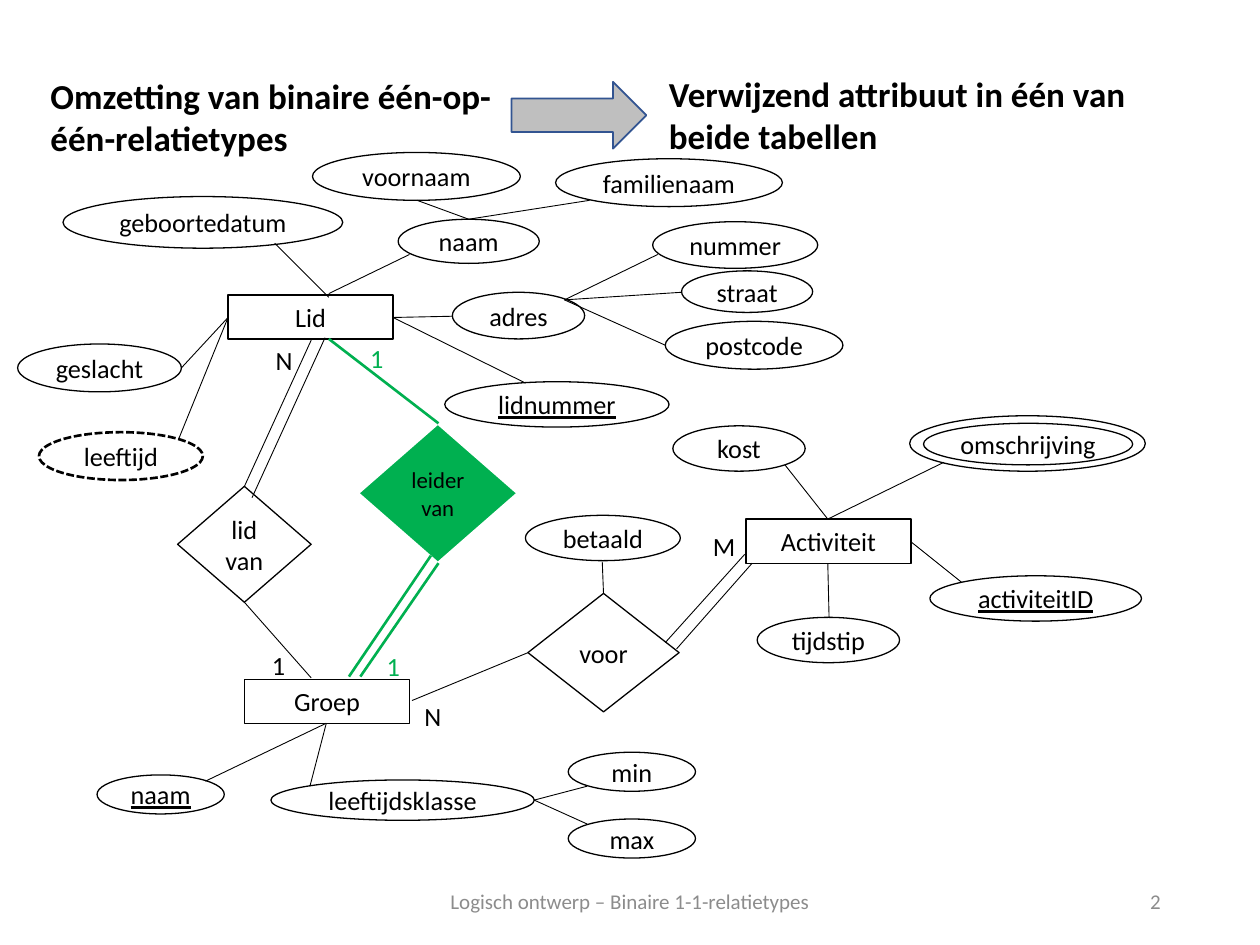
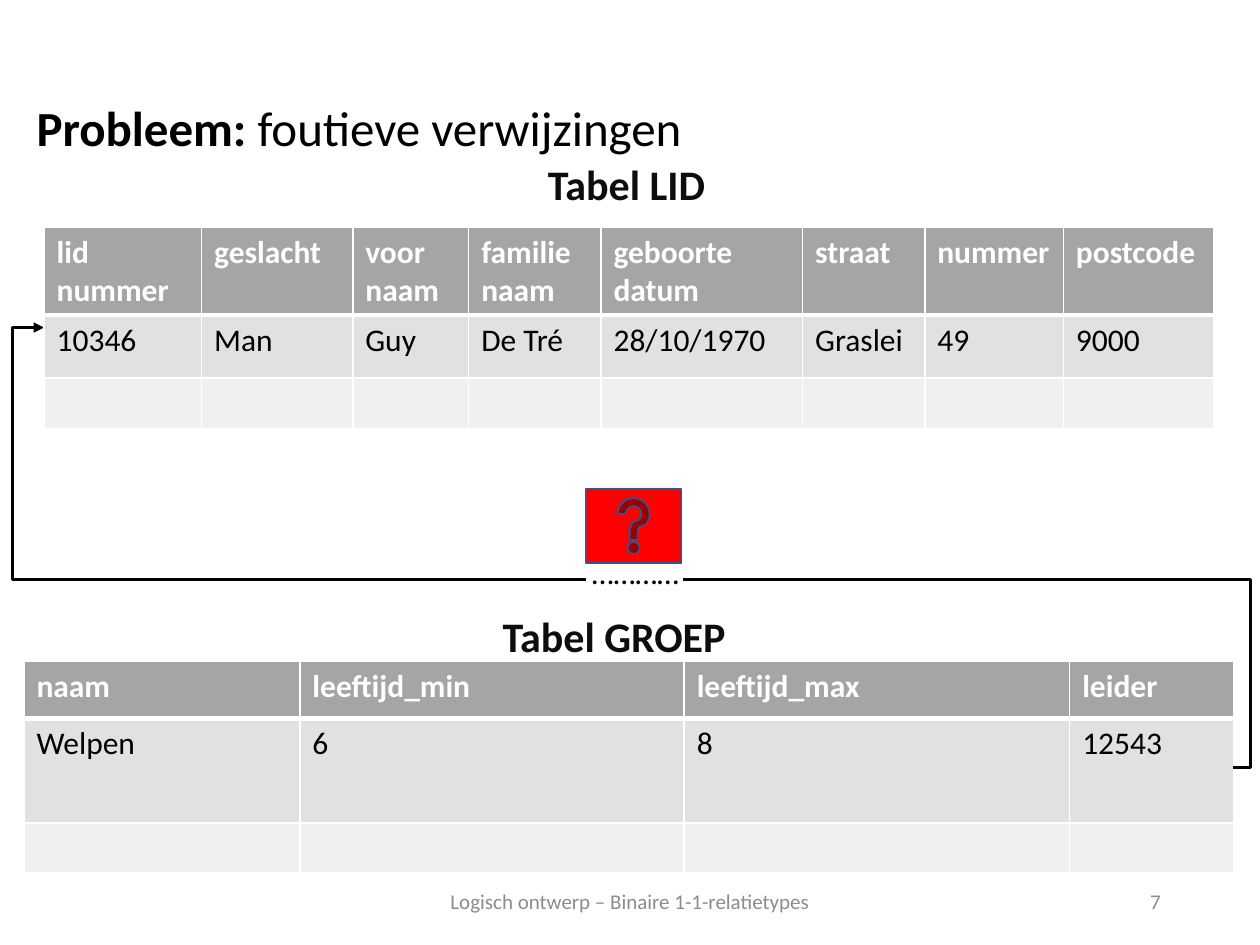
from dataclasses import dataclass
from typing import Any

from lxml.etree import SubElement
from pptx import Presentation
from pptx.dml.color import RGBColor
from pptx.enum.dml import MSO_LINE
from pptx.enum.shapes import MSO_CONNECTOR, MSO_SHAPE
from pptx.enum.text import MSO_ANCHOR, MSO_AUTO_SIZE, PP_ALIGN
from pptx.oxml.ns import qn
from pptx.util import Inches, Pt

FONT = "Calibri"
BLACK, WHITE, GREEN, RED = "000000", "FFFFFF", "00B050", "FF0000"
GREY, ARROW_GREY, OUTLINE_BLUE, HEADING = "8C8C8C", "BFBFBF", "325491", "0D0D0D"
HEADER_FILL, DATA_FILL, EMPTY_FILL = "A5A5A5", "E1E1E1", "F0F0F0"
FOOTER = "Logisch ontwerp – Binaire 1-1-relatietypes"


def rgb(value):
    return RGBColor.from_string(value)


def style(frame, size, color=BLACK, bold=False, align=PP_ALIGN.LEFT, underline=False):
    for paragraph in frame.paragraphs:
        paragraph.alignment = align
        font = paragraph.font
        font.name, font.size, font.bold = FONT, Pt(size), bold
        font.underline = underline
        font.color.rgb = rgb(color)


def set_border(cell, side, width):
    border = SubElement(cell._tc.get_or_add_tcPr(), qn(f"a:ln{side}"), w=str(Pt(width)))
    fill = SubElement(border, qn("a:solidFill"))
    SubElement(fill, qn("a:srgbClr"), val=WHITE)


@dataclass
class Region:
    slide: Any
    left: float = 0
    top: float = 0

    def place(self, x, y):
        return Inches(self.left + x), Inches(self.top + y)

    def box(self, x, y, width, height):
        return *self.place(x, y), Inches(width), Inches(height)

    def label(self, text, box, size=15, color=BLACK, bold=False,
              align=PP_ALIGN.LEFT, anchor=MSO_ANCHOR.TOP):
        frame = self.slide.shapes.add_textbox(*self.box(*box)).text_frame
        frame.word_wrap = True
        frame.vertical_anchor = anchor
        frame.text = text
        style(frame, size, color, bold, align)

    def shape(self, kind, box, fill=WHITE, outline=BLACK, weight=0.75):
        shape = self.slide.shapes.add_shape(kind, *self.box(*box))
        shape.shadow.inherit = False
        shape.fill.solid()
        shape.fill.fore_color.rgb = rgb(fill)
        shape.line.color.rgb = rgb(outline)
        shape.line.width = Pt(weight)
        return shape

    def node(self, kind, text, box, size=15, underline=False, **look):
        shape = self.shape(kind, box, **look)
        frame = shape.text_frame
        frame.margin_left = frame.margin_right = Inches(0.05)
        frame.word_wrap = " " in text
        frame.vertical_anchor = MSO_ANCHOR.MIDDLE
        frame.text = text
        style(frame, size, align=PP_ALIGN.CENTER, underline=underline)
        return shape

    def entity(self, text, x, y):
        self.node(MSO_SHAPE.RECTANGLE, text, (x, y, 1.31, 0.35))

    def attributes(self, boxes, key=None):
        for text, box in boxes.items():
            self.node(MSO_SHAPE.OVAL, text, box, underline=text == key)

    def line(self, start, end, color=BLACK, weight=0.5, kind=MSO_CONNECTOR.STRAIGHT):
        line = self.slide.shapes.add_connector(kind, *self.place(*start), *self.place(*end))
        line.line.color.rgb = rgb(color)
        line.line.width = Pt(weight)
        SubElement(line._element.spPr, qn("a:effectLst"))
        return line

    def lines(self, ends, **look):
        for x1, y1, x2, y2 in ends:
            self.line((x1, y1), (x2, y2), **look)


def lid_entity(region):
    region.entity("Lid", 1.81, 1.34)
    region.attributes({
        "geboortedatum": (0.5, 0.56, 2.22, 0.41),
        "voornaam": (2.48, 0.21, 1.65, 0.38),
        "familienaam": (4.41, 0.26, 1.8, 0.38),
        "naam": (3.16, 0.74, 1.12, 0.35),
        "nummer": (5.18, 0.76, 1.31, 0.37),
        "straat": (5.41, 1.15, 1.04, 0.33),
        "postcode": (5.28, 1.55, 1.41, 0.38),
        "adres": (3.59, 1.32, 1.05, 0.37),
        "geslacht": (0.14, 1.73, 1.3, 0.38),
        "lidnummer": (3.53, 2.03, 1.78, 0.36),
    }, key="lidnummer")
    derived = region.node(MSO_SHAPE.OVAL, "leeftijd", (0.31, 2.43, 1.3, 0.38), weight=1.5)
    derived.line.dash_style = MSO_LINE.SQUARE_DOT
    region.lines([
        (2.18, 0.93, 2.61, 1.36), (3.25, 1.02, 2.61, 1.33),
        (3.31, 0.59, 3.72, 0.74), (4.68, 0.59, 3.72, 0.74),
        (4.48, 1.38, 5.22, 1.02), (4.48, 1.38, 5.41, 1.32), (4.48, 1.38, 5.28, 1.74),
        (3.12, 1.52, 3.59, 1.51), (3.12, 1.52, 4.17, 2.04),
        (1.81, 1.52, 1.44, 1.92), (1.81, 1.52, 1.42, 2.48),
    ])


def groep_entity(region):
    region.entity("Groep", 1.94, 0.39)
    region.attributes({
        "naam": (0.77, 1.15, 1.01, 0.31),
        "leeftijdsklasse": (2.15, 1.19, 2.09, 0.32),
        "min": (4.51, 0.97, 1.01, 0.31),
        "max": (4.51, 1.5, 1.01, 0.31),
    }, key="naam")
    region.lines([
        (2.59, 0.74, 1.63, 1.2), (2.59, 0.74, 2.46, 1.24),
        (4.24, 1.35, 4.66, 1.24), (4.24, 1.35, 4.66, 1.54),
    ])


def activiteit_entity(region):
    region.entity("Activiteit", 0.92, 1.12)
    region.shape(MSO_SHAPE.OVAL, (2.22, 0.3, 1.87, 0.44))
    region.attributes({
        "omschrijving": (2.33, 0.36, 1.66, 0.33),
        "kost": (0.34, 0.38, 1.05, 0.36),
        "tijdstip": (1.01, 1.9, 1.13, 0.36),
        "activiteitID": (2.38, 1.57, 1.68, 0.36),
    }, key="activiteitID")
    region.lines([
        (1.57, 1.12, 1.23, 0.69), (1.57, 1.12, 2.49, 0.67),
        (1.57, 1.47, 1.58, 1.9), (2.23, 1.3, 2.63, 1.62),
    ])


def relationships(region):
    region.node(MSO_SHAPE.DIAMOND, "lid van", (0.41, 1.86, 1.06, 0.92))
    region.node(MSO_SHAPE.DIAMOND, "leider van", (1.84, 1.36, 1.27, 1.11),
                size=13, fill=GREEN, outline=WHITE, weight=1.5)
    region.node(MSO_SHAPE.DIAMOND, "voor", (3.19, 2.71, 1.2, 0.94))
    region.attributes({"betaald": (3.17, 2.09, 1.23, 0.36)})
    region.lines([
        (0.94, 1.86, 1.47, 0.7), (1, 1.95, 1.58, 0.68), (1.47, 3.38, 0.94, 2.78),
        (3.19, 3.18, 2.27, 3.56), (3.78, 2.46, 3.79, 2.71),
        (4.97, 2.47, 4.37, 3.15), (4.91, 2.4, 4.28, 3.1),
    ])
    region.lines([
        (1.61, 0.69, 2.48, 1.36), (2.48, 2.47, 1.86, 3.37), (2.42, 2.41, 1.77, 3.37),
    ], color=GREEN, weight=1.5)
    for text, x, y, color in [
        ("N", 1.09, 0.68, BLACK), ("1", 1.84, 0.67, GREEN), ("1", 1.06, 3.1, BLACK),
        ("1", 1.97, 3.11, GREEN), ("N", 2.27, 3.51, BLACK), ("M", 4.56, 2.16, BLACK),
    ]:
        region.label(text, (x, y, 0.4, 0.35), color=color)


def titled_table(region, heading, heading_box, widths, heights, rows):
    region.label(heading, heading_box, 24, HEADING, True)
    table = region.slide.shapes.add_table(
        len(rows), len(widths), *region.box(0, 0, sum(widths), sum(heights))).table
    table.first_row = table.horz_banding = False
    for column, width in zip(table.columns, widths):
        column.width = Inches(width)
    fills = (HEADER_FILL, DATA_FILL, EMPTY_FILL)
    for r, (height, texts, fill) in enumerate(zip(heights, rows, fills)):
        table.rows[r].height = Inches(height)
        for c, text in enumerate(texts):
            cell = table.cell(r, c)
            cell.text = text
            style(cell.text_frame, 18, BLACK if r else WHITE, bold=r == 0)
            for side, width in zip("LRTB", (1, 1, 3 if r == 1 else 1, 1 if r else 3)):
                set_border(cell, side, width)
            cell.fill.solid()
            cell.fill.fore_color.rgb = rgb(fill)


def broken_reference(region):
    for start, end, bend in [
        ((9.79, 2.21), (5.42, 0.72), -0.031), ((4.65, 0.72), (0.35, -1.28), 1.058),
    ]:
        link = region.line(start, end, weight=1.5, kind=MSO_CONNECTOR.ELBOW)
        guides = link._element.spPr.find(qn("a:prstGeom")).get_or_add_avLst()
        SubElement(guides, qn("a:gd"), name="adj1", fmla=f"val {round(bend * 100000)}")
    SubElement(link.line._get_or_add_ln(), qn("a:tailEnd"), type="triangle")
    region.label("…………", (4.6, 0.46, 1, 0.4), 18)
    region.shape(MSO_SHAPE.ACTION_BUTTON_HELP, (4.65, 0, 0.76, 0.59), RED, OUTLINE_BLUE, 1)


def new_slide(deck, number, title_box, size, *title_runs):
    slide = deck.slides.add_slide(deck.slide_layouts[5])
    page = Region(slide)
    title = slide.shapes.title
    title.left, title.top, title.width, title.height = page.box(*title_box)
    frame = title.text_frame
    frame.word_wrap = True
    frame.auto_size = MSO_AUTO_SIZE.NONE
    frame.vertical_anchor = MSO_ANCHOR.TOP
    for text, bold in title_runs:
        run = frame.paragraphs[0].add_run()
        run.text = text
        run.font.bold = bold
    style(frame, size)
    for text, box, align in [
        (FOOTER, (2.83, 6.95, 4.34, 0.4), PP_ALIGN.CENTER),
        (number, (7.06, 6.95, 2.25, 0.4), PP_ALIGN.RIGHT),
    ]:
        page.label(text, box, 12, GREY, align=align, anchor=MSO_ANCHOR.MIDDLE)
    return slide


def diagram_slide(deck):
    slide = new_slide(deck, "2", (0.3, 0.54, 3.77, 0.77), 20,
                      ("Omzetting van binaire één-op-één-relatietypes", True))
    page = Region(slide)
    page.shape(MSO_SHAPE.RIGHT_ARROW, (4.06, 0.65, 1.07, 0.53), ARROW_GREY, OUTLINE_BLUE, 1)
    page.label("Verwijzend attribuut in één van beide tabellen",
               (5.21, 0.53, 4.11, 0.77), 20, bold=True)
    lid_entity(Region(slide, 0, 1))
    groep_entity(Region(slide, 0, 5))
    activiteit_entity(Region(slide, 5, 3))
    relationships(Region(slide, 1, 2))


def problem_slide(deck):
    slide = new_slide(deck, "7", (0.19, 0.72, 7.62, 0.57), 28,
                      ("Probleem:", True), (" foutieve verwijzingen", False))
    titled_table(
        Region(slide, 0.19, 5.25), "Tabel GROEP", (3.7, -0.45, 2.21, 0.5),
        (2.19, 3.05, 3.06, 1.3), (0.45, 0.83, 0.4),
        [("naam", "leeftijd_min", "leeftijd_max", "leider"),
         ("Welpen", "6", "8", "12543"), ("",) * 4])
    broken_reference(Region(slide, 0, 3.88))
    titled_table(
        Region(slide, 0.35, 1.8), "Tabel LID", (3.9, -0.59, 1.6, 0.5),
        (1.25, 1.2, 0.92, 1.05, 1.6, 0.97, 1.1, 1.19), (0.7, 0.5, 0.4),
        [("lid\nnummer", "geslacht", "voor\nnaam", "familie\nnaam", "geboorte\ndatum",
          "straat", "nummer", "postcode"),
         ("10346", "Man", "Guy", "De Tré", "28/10/1970", "Graslei", "49", "9000"),
         ("",) * 8])


def main():
    deck = Presentation()
    deck.slide_width, deck.slide_height = Inches(10), Inches(7.5)
    diagram_slide(deck)
    problem_slide(deck)
    deck.save("out.pptx")


if __name__ == "__main__":
    main()
